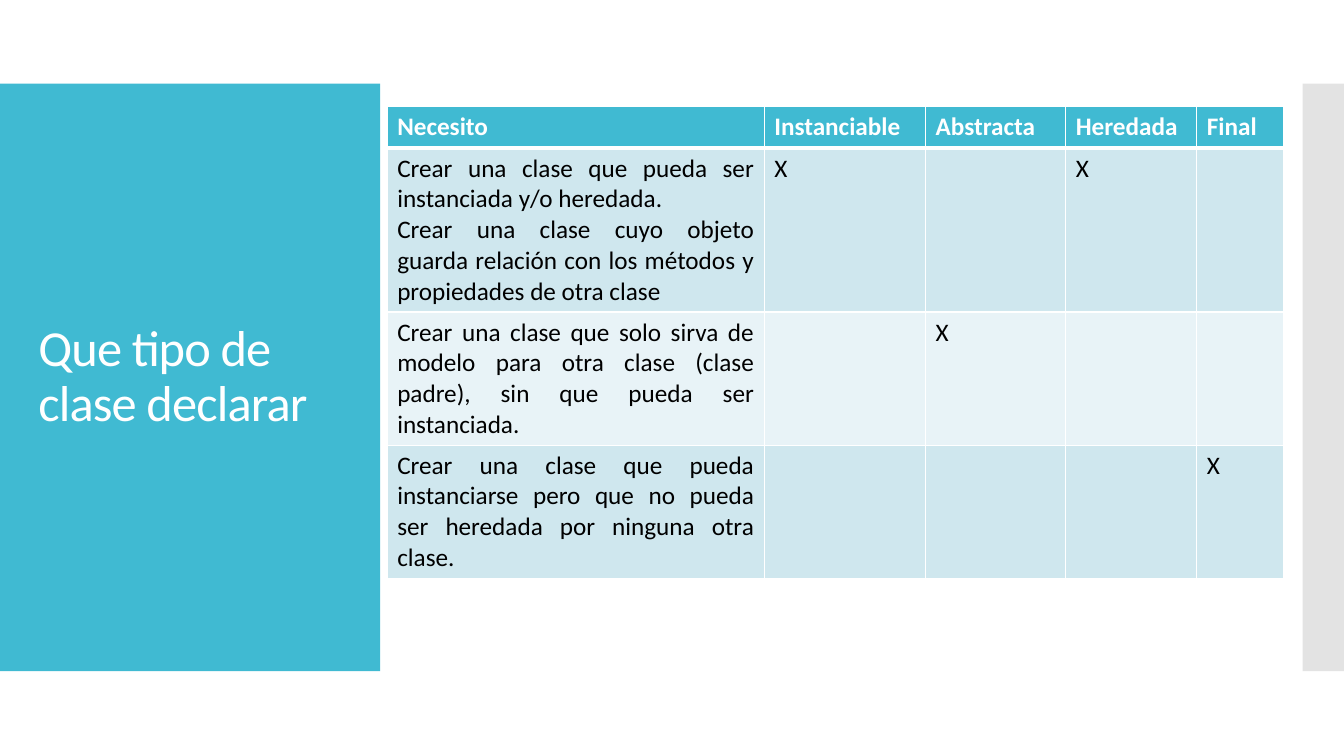
from lxml import etree
from pptx import Presentation
from pptx.dml.color import RGBColor
from pptx.enum.shapes import MSO_SHAPE
from pptx.enum.text import MSO_ANCHOR, MSO_AUTO_SIZE, PP_ALIGN
from pptx.oxml.ns import qn
from pptx.util import Inches, Pt

RECTANGLE = MSO_SHAPE.RECTANGLE
MIDDLE = MSO_ANCHOR.MIDDLE
NO_AUTOFIT = MSO_AUTO_SIZE.NONE
LEFT, JUSTIFY = PP_ALIGN.LEFT, PP_ALIGN.JUSTIFY

TEAL = RGBColor(0x40, 0xBA, 0xD2)
GREY = RGBColor(0xC8, 0xC8, 0xC8)
DARK_BAND = RGBColor(0xCF, 0xE7, 0xEE)
LIGHT_BAND = RGBColor(0xE8, 0xF3, 0xF7)
WHITE = RGBColor(0xFF, 0xFF, 0xFF)
BLACK = RGBColor(0x00, 0x00, 0x00)
FONT = "Calibri"

COLUMN_WIDTHS = [3.74, 1.6, 1.39, 1.3, 0.86]
ROW_HEIGHTS = [0.41, 1.6, 1.3, 1.3]
ROWS = [
    ["Necesito", "Instanciable", "Abstracta", "Heredada", "Final"],
    ["Crear una clase que pueda ser instanciada y/o heredada. \n"
     "Crear una clase cuyo objeto guarda relación con los métodos y "
     "propiedades de otra clase", "X", "", "X", ""],
    ["Crear una clase que solo sirva de modelo para otra clase (clase padre), "
     "sin que pueda ser instanciada.", "", "X", "", ""],
    ["Crear una clase que pueda instanciarse pero que no pueda ser heredada "
     "por ninguna otra clase.", "", "", "", "X"],
]


def add_span(para, text, size, color, bold=False):
    span = para.add_run()
    span.text = text
    span.font.name = FONT
    span.font.size = Pt(size)
    span.font.bold = bold
    span.font.color.rgb = color
    return span


def set_borders(cell, bottom_width):
    """Draw white cell borders, 1 pt except for the bottom one."""
    properties = cell._tc.get_or_add_tcPr()
    widths = {"a:lnL": 1, "a:lnR": 1, "a:lnT": 1, "a:lnB": bottom_width}
    for position, (tag, width) in enumerate(widths.items()):
        line = etree.Element(qn(tag), w=str(Pt(width)))
        fill = etree.SubElement(line, qn("a:solidFill"))
        etree.SubElement(fill, qn("a:srgbClr"), val=str(WHITE))
        properties.insert(position, line)


deck = Presentation()
deck.slide_width = Inches(13.33)
deck.slide_height = Inches(7.5)
page = deck.slides.add_slide(deck.slide_layouts[5])

# Side panels
for left, width, color in [(0, 3.77, TEAL), (12.92, 0.41, GREY)]:
    panel = page.shapes.add_shape(
        RECTANGLE, Inches(left), Inches(0.83), Inches(width), Inches(5.83))
    panel.shadow.inherit = False
    panel.fill.solid()
    panel.fill.fore_color.rgb = color
    panel.line.fill.background()
grey_color = panel._element.spPr.find(".//" + qn("a:srgbClr"))
etree.SubElement(grey_color, qn("a:alpha"), val="50000")

# Title, brought in front of the panels
title = page.shapes.title
title.left, title.top = Inches(0.28), Inches(1.23)
title.width, title.height = Inches(3.22), Inches(5.03)
page.shapes._spTree.append(title._element)
frame = title.text_frame
frame.word_wrap = True
frame.auto_size = NO_AUTOFIT
frame.vertical_anchor = MIDDLE
para = frame.paragraphs[0]
para.alignment = LEFT
para.line_spacing = 0.9
span = add_span(para, "Que tipo de clase declarar", 36, WHITE)
span.font._element.set("spc", "-60")

# Table of class types
table = page.shapes.add_table(
    len(ROWS), len(COLUMN_WIDTHS), Inches(3.84), Inches(1.06),
    Inches(sum(COLUMN_WIDTHS)), Inches(sum(ROW_HEIGHTS))).table
for column, width in zip(table.columns, COLUMN_WIDTHS):
    column.width = Inches(width)
for row, height in zip(table.rows, ROW_HEIGHTS):
    row.height = Inches(height)

for row_index, texts in enumerate(ROWS):
    is_header = row_index == 0
    if is_header:
        fill_color = TEAL
    else:
        fill_color = DARK_BAND if row_index % 2 else LIGHT_BAND
    for column_index, text in enumerate(texts):
        cell = table.cell(row_index, column_index)
        cell.fill.solid()
        cell.fill.fore_color.rgb = fill_color
        set_borders(cell, 3 if is_header else 1)
        if not text:
            continue
        for line_index, line in enumerate(text.split("\n")):
            frame = cell.text_frame
            para = frame.add_paragraph() if line_index else frame.paragraphs[0]
            para.alignment = LEFT if is_header else JUSTIFY
            add_span(para, line, 18, WHITE if is_header else BLACK, is_header)

deck.save("out.pptx")
